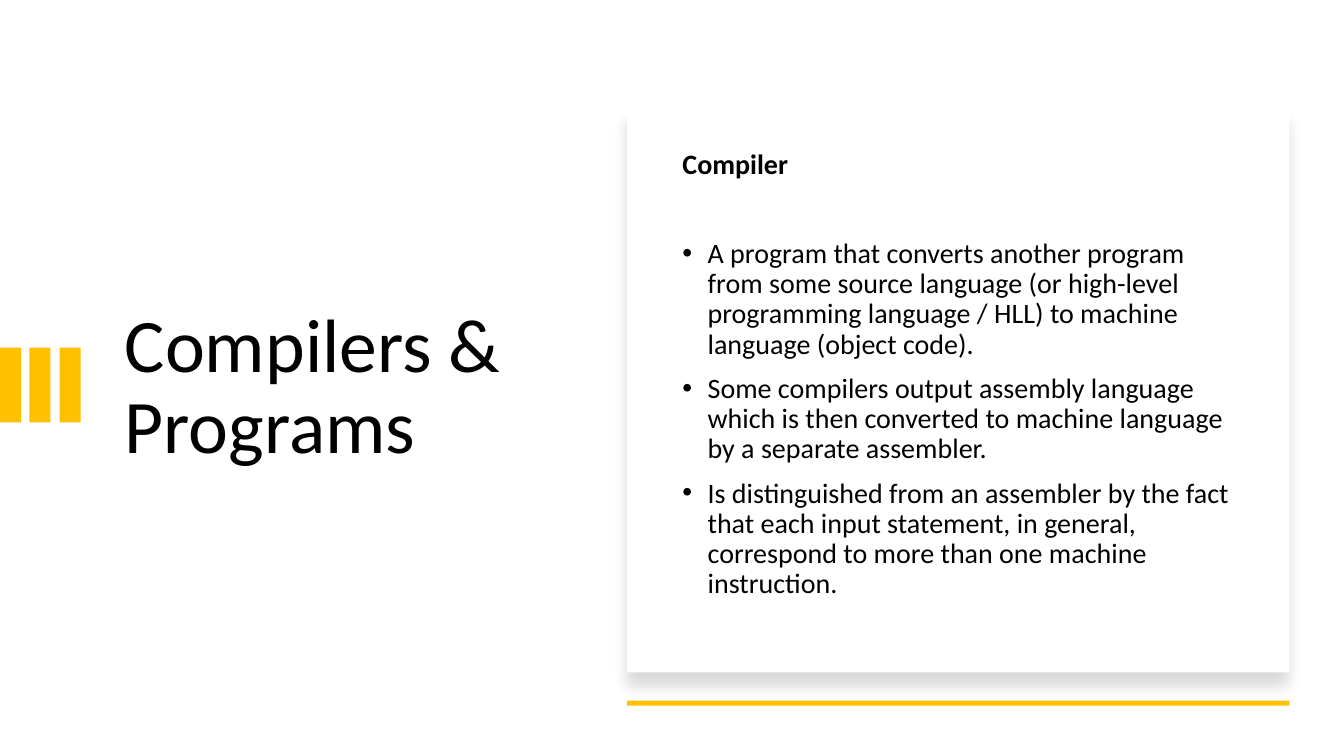
from dataclasses import dataclass
from lxml.etree import SubElement
from pptx import Presentation
from pptx.dml.color import RGBColor
from pptx.enum.shapes import MSO_SHAPE
from pptx.enum.text import MSO_ANCHOR
from pptx.oxml.ns import qn
from pptx.util import Pt


@dataclass(frozen=True)
class Theme:
    font: str = "Calibri"
    ink: RGBColor = RGBColor(0, 0, 0)
    paper: RGBColor = RGBColor(255, 255, 255)
    accent: RGBColor = RGBColor(255, 192, 0)
    title_size: int = 54
    body_size: int = 20
    line_spacing: float = 0.9


theme = Theme()
PX = 9144

deck = Presentation()
deck.slide_width = 1333 * PX
deck.slide_height = 750 * PX
page = deck.slides.add_slide(deck.slide_layouts[6])


def add_block(left, top, width, height, color):
    block = page.shapes.add_shape(
        MSO_SHAPE.RECTANGLE, left * PX, top * PX, width * PX, height * PX)
    block.shadow.inherit = False
    block.fill.solid()
    block.fill.fore_color.rgb = color
    block.line.fill.background()
    return block


def add_text(left, top, width, height, anchor, paragraphs, size):
    box = page.shapes.add_textbox(left * PX, top * PX, width * PX, height * PX)
    frame = box.text_frame
    frame.word_wrap = True
    frame.vertical_anchor = anchor
    for index, (text, bold, bulleted, space_before) in enumerate(paragraphs):
        para = frame.paragraphs[0] if index == 0 else frame.add_paragraph()
        para.line_spacing = theme.line_spacing
        para.space_before = Pt(space_before)
        if bulleted:
            properties = para._p.get_or_add_pPr()
            properties.set("marL", str(25 * PX))
            properties.set("indent", str(-25 * PX))
            SubElement(properties, qn("a:buFont"), typeface="Arial")
            SubElement(properties, qn("a:buChar"), char="•")
        span = para.add_run()
        span.text = text
        span.font.name = theme.font
        span.font.size = Pt(size)
        span.font.bold = bold
        span.font.color.rgb = theme.ink


add_text(114, 150, 426, 471, MSO_ANCHOR.MIDDLE,
         [("Compilers & Programs", False, False, 0)], theme.title_size)

for column in range(3):
    add_block(column * 59 // 2, 345, 21, 74, theme.accent)

card = add_block(622, 107, 657, 560, theme.paper)
effects = card._element.spPr.find(qn("a:effectLst"))
shadow = SubElement(effects, qn("a:outerShdw"), blurRad=str(Pt(11)),
                    dist=str(Pt(10)), dir="5400000", algn="t", rotWithShape="0")
shade = SubElement(shadow, qn("a:srgbClr"), val=str(theme.ink))
SubElement(shade, qn("a:alpha"), val="15000")

definition = [
    ("Compiler", True, False, 0),
    ("A program that converts another program from some source language "
     "(or high-level programming language / HLL) to machine language "
     "(object code).", False, True, 42),
    ("Some compilers output assembly language which is then converted to "
     "machine language by a separate assembler.", False, True, 10),
    ("Is distinguished from an assembler by the fact that each input "
     "statement, in general, correspond to more than one machine "
     "instruction.", False, True, 10),
]
add_text(667, 144, 571, 471, MSO_ANCHOR.TOP, definition, theme.body_size)

add_block(622, 695, 657, 5, theme.accent)

deck.save("out.pptx")
